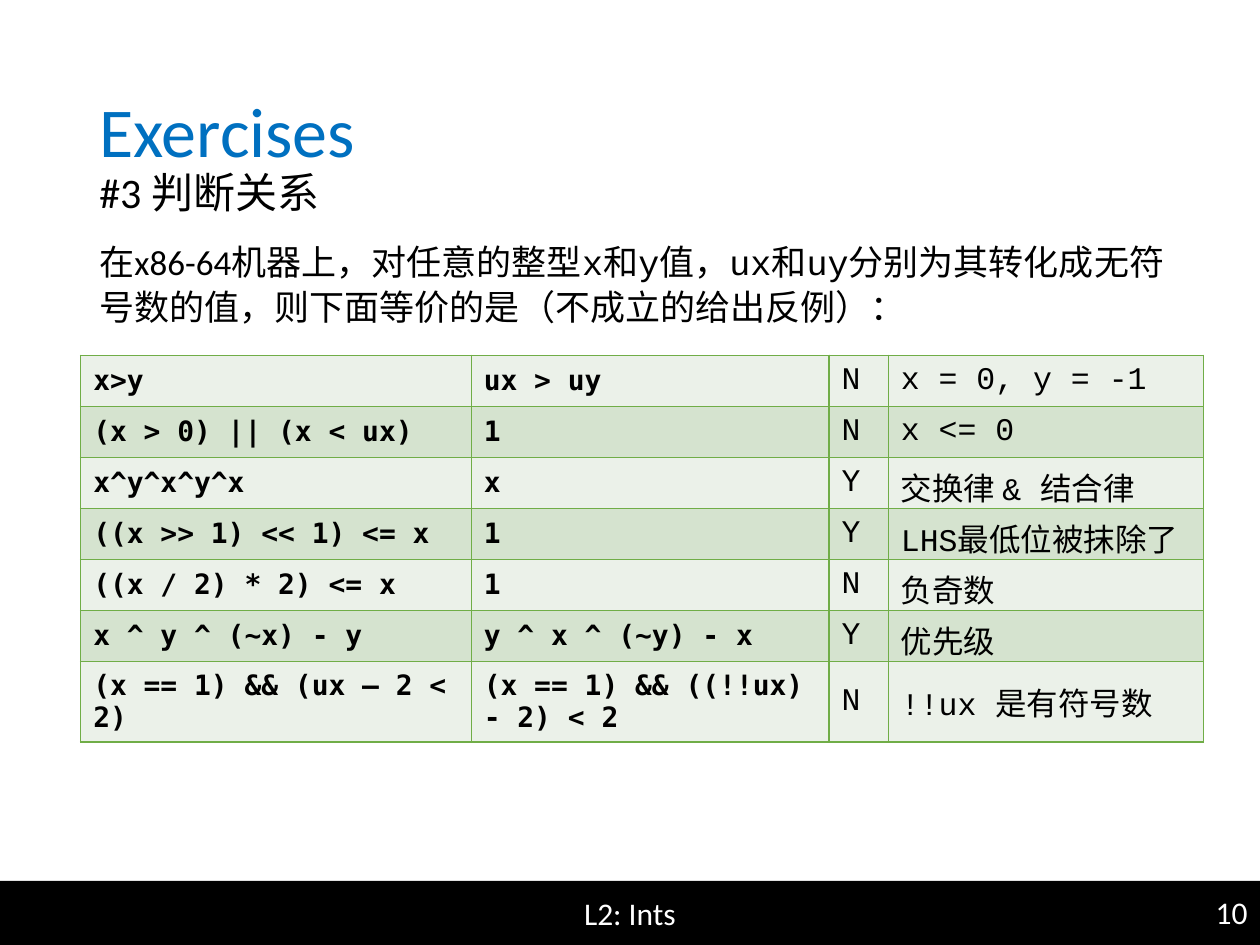
from dataclasses import dataclass

from lxml import etree
from pptx import Presentation
from pptx import util as u
from pptx.dml.color import RGBColor
from pptx.enum import shapes, text
from pptx.oxml import ns

COLORS = {
    "ink": "000000", "paper": "FFFFFF", "title": "0070C0",
    "grid": "70AD47", "light": "EBF1E9", "dark": "D5E3CF",
}
SANS, MONO, CODE = "Calibri", "Courier New", "DejaVu Sans Mono"
TABLE_TOP, TABLE_HEIGHT, LAST_ROW = 2.82, 3.07, 0.64


@dataclass
class Span:
    words: str
    size: float
    font: str = SANS
    color: str = "ink"
    bold: bool = False


@dataclass
class Block:
    """A text area: left, top, width and height in inches."""
    place: tuple[float, float, float, float]
    paras: list[list[Span]]
    align: text.PP_ALIGN = text.PP_ALIGN.LEFT
    anchor: text.MSO_ANCHOR = text.MSO_ANCHOR.MIDDLE
    spacing: float | u.Pt = 1.0


@dataclass
class Grid:
    left: float
    columns: tuple[float, ...]
    rows: list[tuple[str, str]]
    size: float
    font: str
    bold: bool = False


def rgb(name: str) -> RGBColor:
    return RGBColor.from_string(COLORS[name])


def add_span(para, span: Span) -> None:
    run = para.add_run()
    run.text = span.words
    formats = {"size": u.Pt(span.size), "name": span.font, "bold": span.bold}
    for key, value in formats.items():
        setattr(run.font, key, value)
    run.font.color.rgb = rgb(span.color)


def fill_frame(frame, block: Block) -> None:
    frame.word_wrap = True
    frame.vertical_anchor = block.anchor
    for index, spans in enumerate(block.paras):
        para = frame.add_paragraph() if index else frame.paragraphs[0]
        para.alignment = block.align
        para.line_spacing = block.spacing
        for span in spans:
            add_span(para, span)


def add_block(page, block: Block) -> None:
    box = page.shapes.add_textbox(*map(u.Inches, block.place))
    fill_frame(box.text_frame, block)


def add_bar(page, block: Block) -> None:
    bar = page.shapes.add_shape(
        shapes.MSO_SHAPE.RECTANGLE, *map(u.Inches, block.place))
    bar.shadow.inherit = False
    bar.fill.solid()
    bar.fill.fore_color.rgb = rgb("ink")
    bar.line.fill.background()
    fill_frame(bar.text_frame, block)


def add_borders(cell) -> None:
    props = cell._tc.get_or_add_tcPr()
    for index, side in enumerate(("lnL", "lnR", "lnT", "lnB")):
        line = etree.Element(ns.qn(f"a:{side}"), w=str(u.Pt(1)))
        solid = etree.SubElement(line, ns.qn("a:solidFill"))
        etree.SubElement(solid, ns.qn("a:srgbClr"), val=COLORS["grid"])
        props.insert(index, line)


def add_grid(page, grid: Grid) -> None:
    count = len(grid.rows)
    table = page.shapes.add_table(
        count, len(grid.columns), u.Inches(grid.left), u.Inches(TABLE_TOP),
        u.Inches(sum(grid.columns)), u.Inches(TABLE_HEIGHT)).table
    for column, width in zip(table.columns, grid.columns):
        column.width = u.Inches(width)
    for row in table.rows:
        row.height = u.Inches((TABLE_HEIGHT - LAST_ROW) / (count - 1))
    table.rows[count - 1].height = u.Inches(LAST_ROW)
    for r, entries in enumerate(grid.rows):
        for c, words in enumerate(entries):
            cell = table.cell(r, c)
            cell.fill.solid()
            cell.fill.fore_color.rgb = rgb("dark" if r % 2 else "light")
            cell.vertical_anchor = text.MSO_ANCHOR.MIDDLE
            add_span(cell.text_frame.paragraphs[0],
                     Span(words, grid.size, grid.font, bold=grid.bold))
            add_borders(cell)


FOOTER = Block((0, 6.99, 10, 0.51), [[Span("L2: Ints", 18, color="paper")]],
               text.PP_ALIGN.CENTER)
NUMBER = Block((7.75, 7.04, 2.25, 0.4), [[Span("10", 18, color="paper")]],
               text.PP_ALIGN.RIGHT)
TITLE = Block((0.69, 0.51, 8.62, 1.27),
              [[Span("Exercises", 40, color="title")],
               [Span("#3 判断关系", 24)]],
              anchor=text.MSO_ANCHOR.BOTTOM, spacing=0.9)
# Prose and variable names alternate, starting with prose.
QUESTION_PARTS = (
    "在x86-64机器上，对任意的整型", "x", "和", "y", "值，", "ux", "和", "uy",
    "分别为其转化成无符号数的值，则下面等价的是（不成立的给出反例）：",
)
QUESTION = Block((0.69, 1.83, 8.82, 0.81),
                 [[Span(part, 20, MONO if i % 2 else SANS)
                   for i, part in enumerate(QUESTION_PARTS)]],
                 anchor=text.MSO_ANCHOR.TOP, spacing=u.Pt(26))
EXPRESSIONS = Grid(0.64, (3.1, 2.84), [
    ("x>y", "ux > uy"),
    ("(x > 0) || (x < ux)", "1"),
    ("x^y^x^y^x", "x"),
    ("((x >> 1) << 1) <= x", "1"),
    ("((x / 2) * 2) <= x", "1"),
    ("x ^ y ^ (~x) - y", "y ^ x ^ (~y) - x"),
    ("(x == 1) && (ux – 2 < 2)", "(x == 1) && ((!!ux) - 2) < 2"),
], 16, CODE, bold=True)
ANSWERS = Grid(6.58, (0.47, 2.5), [
    ("N", "x = 0, y = -1"),
    ("N", "x <= 0"),
    ("Y", "交换律 & 结合律"),
    ("Y", "LHS最低位被抹除了"),
    ("N", "负奇数"),
    ("Y", "优先级"),
    ("N", "!!ux 是有符号数"),
], 18, MONO)


def main() -> None:
    deck = Presentation()
    deck.slide_width, deck.slide_height = u.Inches(10), u.Inches(7.5)
    page = deck.slides.add_slide(deck.slide_layouts[6])
    add_bar(page, FOOTER)
    for block in (NUMBER, TITLE, QUESTION):
        add_block(page, block)
    for grid in (EXPRESSIONS, ANSWERS):
        add_grid(page, grid)
    deck.save("out.pptx")


if __name__ == "__main__":
    main()
